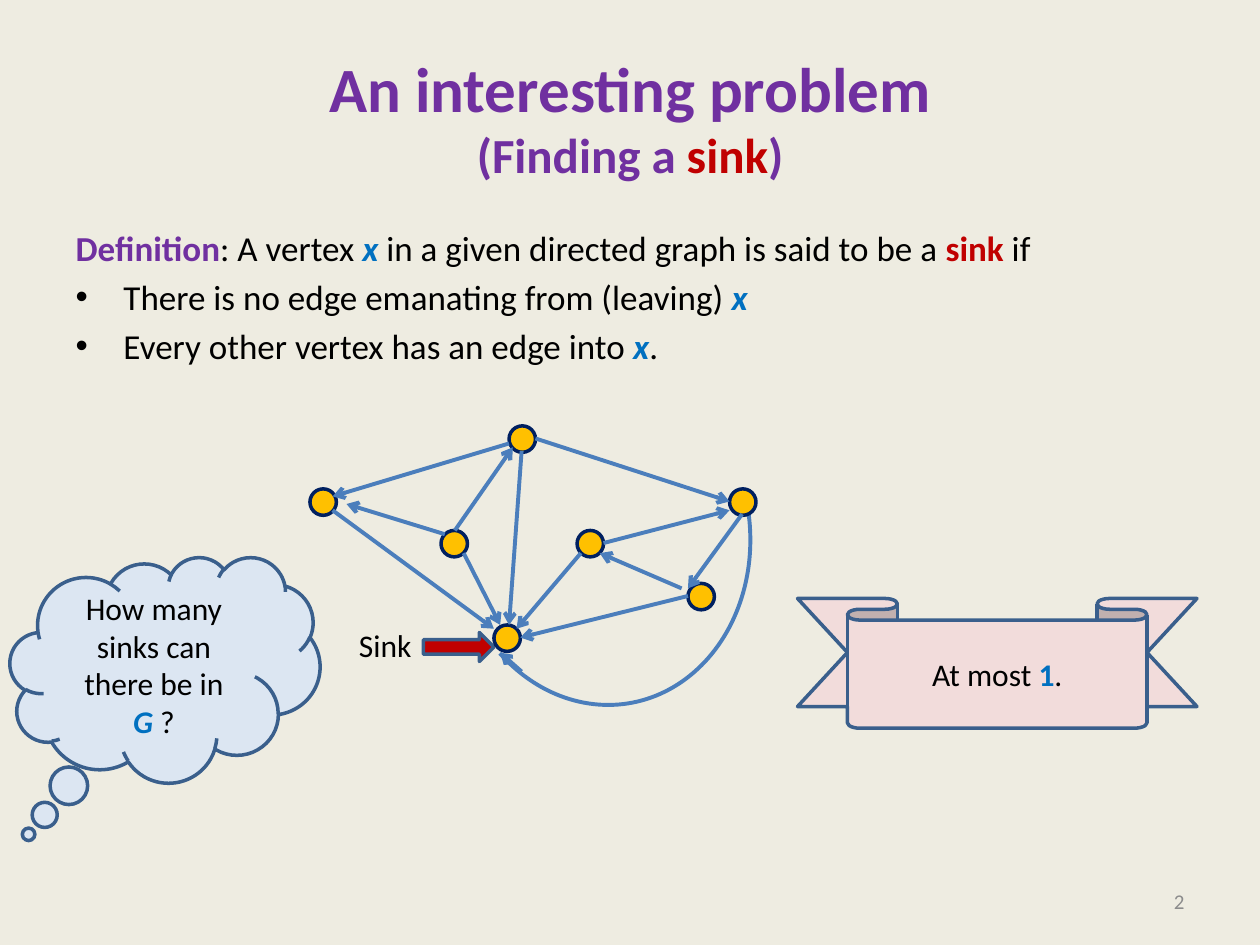
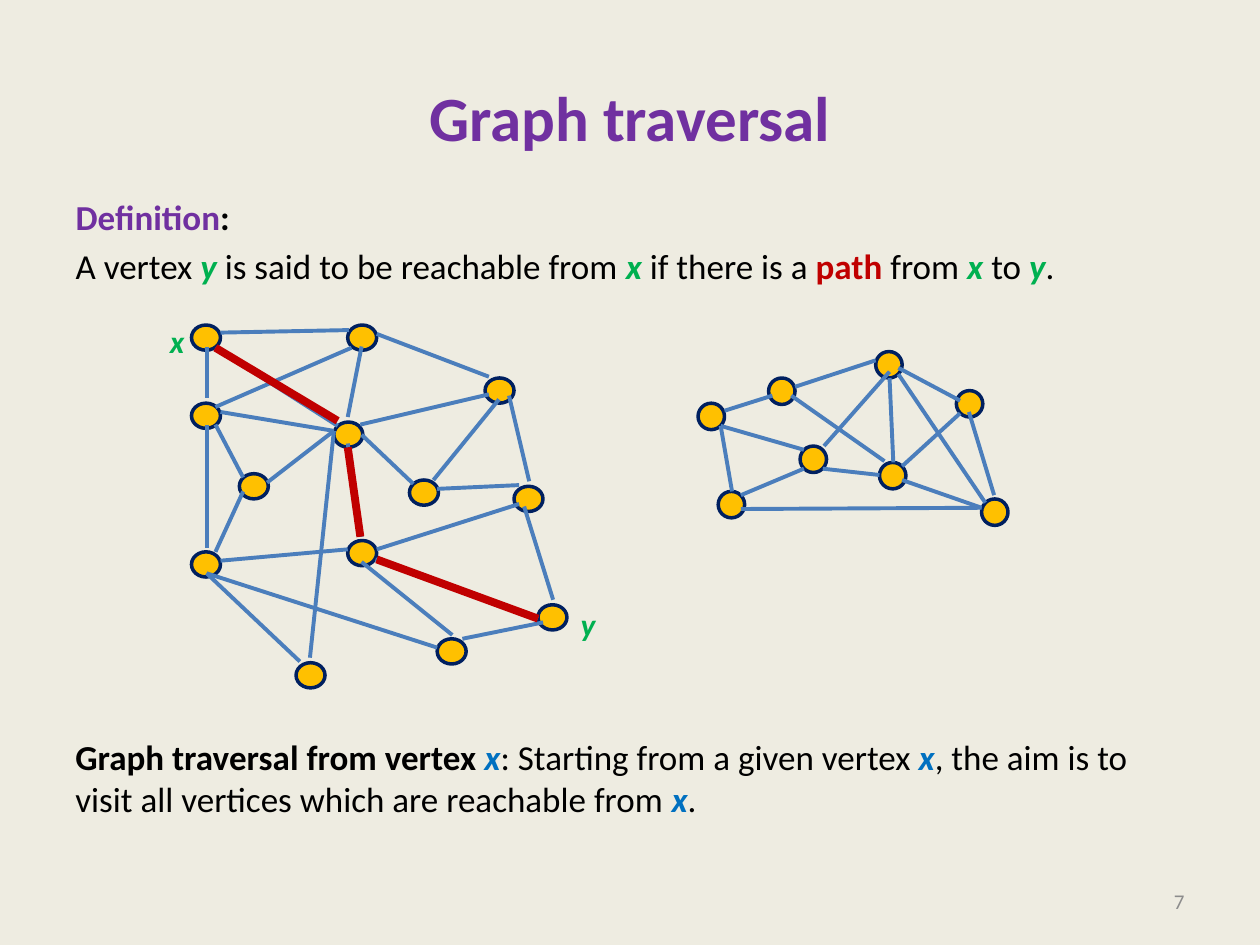
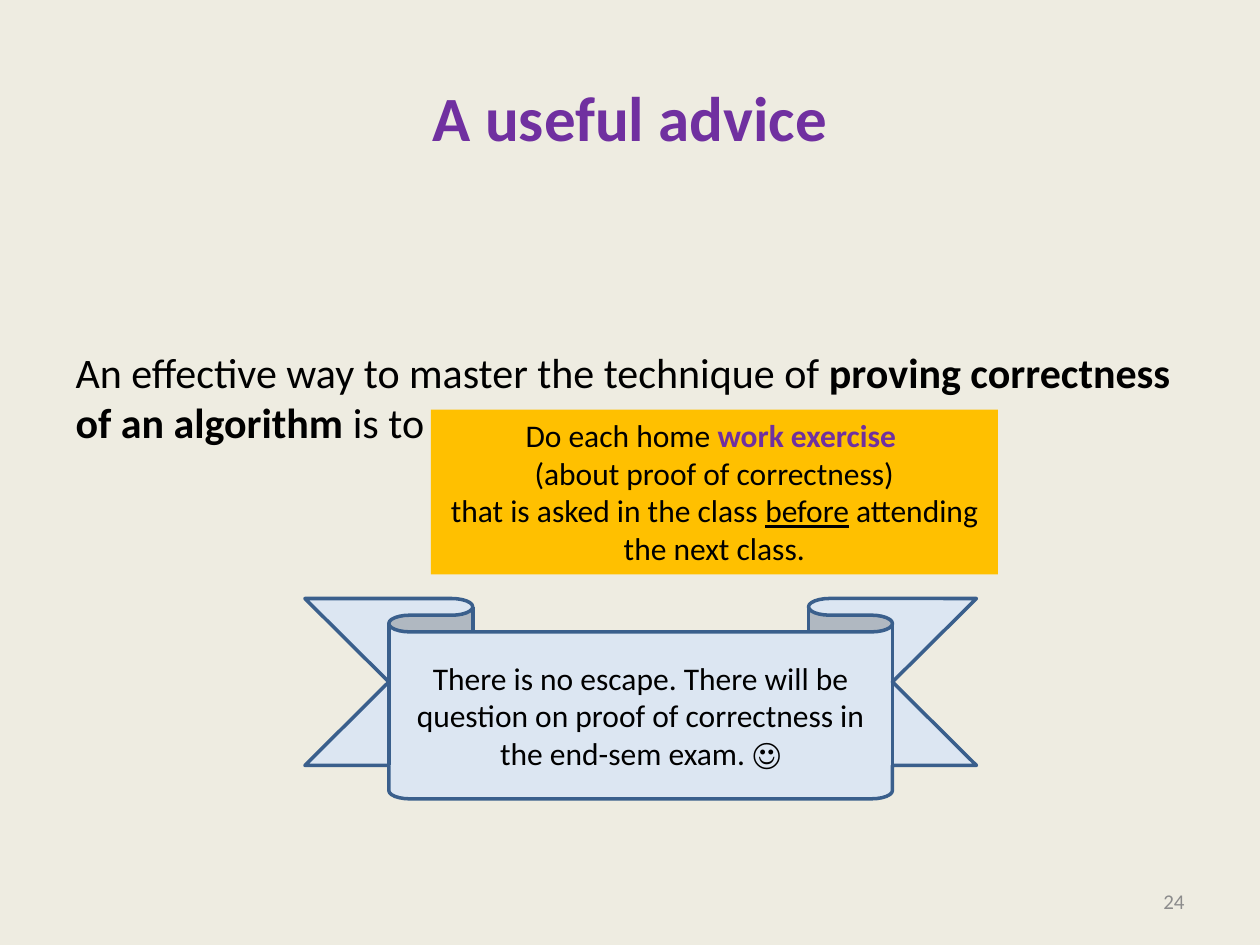
from lxml.etree import SubElement
from pptx import Presentation
from pptx.dml.color import RGBColor
from pptx.enum.shapes import MSO_CONNECTOR, MSO_SHAPE
from pptx.enum.text import MSO_ANCHOR, MSO_AUTO_SIZE, PP_ALIGN
from pptx.oxml.ns import qn
from pptx.util import Inches, Pt

FONT = "Calibri"
BACKGROUND = "EEECE1"
BLACK = "000000"
PURPLE = "7030A0"
RED = "C00000"
BLUE = "0070C0"
GREEN = "00B050"
GOLD = "FFC000"
NAVY = "002060"
EDGE = "4B7EBC"
OUTLINE = "3A5F8C"
PALE_BLUE = "DCE6F2"
PINK = "F2DCDB"
GRAY = "8C8C8C"

STRONG = dict(bold=True)
TERM = dict(color=PURPLE, bold=True)
KEY = dict(color=RED, bold=True)
BLUE_VERTEX = dict(color=BLUE, bold=True, italic=True)
GREEN_VERTEX = dict(color=GREEN, bold=True, italic=True)

SINK_VERTICES = [
    (4.04, 3.38), (2.46, 3.88), (5.79, 3.88), (3.5, 4.21),
    (4.58, 4.21), (5.46, 4.63), (3.92, 4.96),
]
SINK_EDGES = [
    (4.25, 3.48, 5.79, 3.98), (4.04, 3.52, 2.64, 3.94), (4.14, 3.58, 4.04, 4.96),
    (5.46, 4.73, 4.13, 5.06), (4.61, 4.39, 4.1, 4.99), (2.64, 4.05, 3.92, 4.99),
    (3.68, 4.39, 3.97, 4.96), (4.79, 4.31, 5.79, 4.05), (5.89, 4.08, 5.46, 4.67),
    (5.41, 4.67, 4.76, 4.39), (3.53, 4.24, 2.75, 4), (4.14, 5.33, 3.97, 5.18),
    (3.61, 4.21, 4.07, 3.55),
]
REACHABLE_VERTICES = [
    (1.52, 2.58), (1.52, 3.2), (1.9, 3.76), (1.52, 4.38), (2.65, 3.35),
    (2.76, 4.29), (2.35, 5.26), (4.27, 4.8), (3.25, 3.81), (3.47, 5.07),
    (2.76, 2.58), (4.08, 3.86), (3.85, 3),
]
REACHABLE_EDGES = [
    (1.75, 4.45, 2.76, 4.36), (1.75, 3.27, 2.65, 3.42), (1.75, 2.64, 2.77, 2.62),
    (1.64, 2.75, 1.64, 3.16), (2.86, 3.37, 3.88, 3.13), (2.38, 5.25, 1.64, 4.55),
    (1.64, 3.37, 1.64, 4.35), (2.76, 3.52, 2.87, 4.26), (2.99, 2.65, 3.88, 2.99),
    (4.2, 3.82, 4.04, 3.14), (2.99, 4.36, 4.12, 4), (3.67, 5.07, 4.31, 4.94),
    (1.71, 3.37, 1.93, 3.79), (4.16, 4.02, 4.39, 4.76), (2.65, 3.42, 2.46, 5.22),
    (2.87, 4.46, 3.59, 5.04), (3.47, 3.88, 4.12, 3.85), (2.65, 3.42, 2.12, 3.83),
    (1.71, 4.38, 1.93, 3.9), (3.44, 3.81, 3.96, 3.17), (1.64, 4.55, 3.47, 5.14),
    (2.87, 2.75, 2.76, 3.31), (4.27, 4.91, 2.98, 4.44), (1.71, 2.76, 2.68, 3.38),
    (2.79, 2.76, 1.71, 3.23), (2.87, 3.45, 3.28, 3.84),
]
SEPARATE_VERTICES = [
    (5.54, 3.2), (6.1, 3), (5.7, 3.9), (6.35, 3.54),
    (6.98, 3.67), (7.59, 3.1), (7.79, 3.96), (6.95, 2.79),
]
SEPARATE_EDGES = [
    (5.75, 3.26, 6.13, 3.14), (6.31, 3.07, 6.95, 2.86), (7.13, 2.92, 7.62, 3.18),
    (6.28, 3.14, 7.02, 3.66), (7.06, 2.95, 6.54, 3.54), (7.89, 3.93, 7.69, 3.27),
    (7.79, 4.03, 7.16, 3.81), (7.79, 4.03, 5.88, 4.04), (5.88, 3.93, 6.38, 3.72),
    (5.72, 3.38, 6.38, 3.57), (5.72, 3.38, 5.81, 3.9), (6.98, 3.77, 6.53, 3.72),
    (7.62, 3.28, 7.16, 3.7), (7.09, 3.67, 7.06, 3), (7.13, 2.97, 7.82, 3.99),
]
PATH_EDGES = [
    (1.71, 2.76, 2.68, 3.34), (2.86, 4.26, 2.76, 3.55), (4.27, 4.91, 2.99, 4.44),
]


def rgb(value):
    return RGBColor.from_string(value)


def write(paragraph, text, size=18, color=BLACK, bold=False, italic=False, underline=False):
    if text == "\n":
        line_break = SubElement(paragraph._p, qn("a:br"))
        SubElement(line_break, qn("a:rPr"), sz=str(size * 100))
        return
    run = paragraph.add_run()
    run.text = text
    font = run.font
    font.name, font.size, font.color.rgb = FONT, Pt(size), rgb(color)
    font.bold, font.italic, font.underline = bold, italic, underline


def fill_frame(frame, paragraphs, size=18, align=PP_ALIGN.LEFT, gap=0):
    for index, runs in enumerate(paragraphs):
        paragraph = frame.add_paragraph() if index else frame.paragraphs[0]
        paragraph.alignment = align
        paragraph.space_before = Pt(gap if index else 0)
        for text, style in runs:
            write(paragraph, text, **{"size": size, **style})


def place(element, left, top, width, height):
    element.left, element.top = Inches(left), Inches(top)
    element.width, element.height = Inches(width), Inches(height)


def add_label(slide, box, paragraphs, align=PP_ALIGN.LEFT, size=18, wrap=False,
              anchor=MSO_ANCHOR.TOP):
    label = slide.shapes.add_textbox(*map(Inches, box))
    label.text_frame.word_wrap = wrap
    label.text_frame.vertical_anchor = anchor
    fill_frame(label.text_frame, paragraphs, size, align)


def start_slide(deck, title_runs, number):
    slide = deck.slides.add_slide(deck.slide_layouts[1])
    title = slide.shapes.title
    place(title, 0.5, 0.3, 9, 1.25)
    title.text_frame.vertical_anchor = MSO_ANCHOR.MIDDLE
    fill_frame(title.text_frame, [title_runs], 36, PP_ALIGN.CENTER)
    add_label(slide, (7.17, 6.95, 2.33, 0.4), [[(number, dict(color=GRAY))]],
              PP_ALIGN.RIGHT, 12, True, MSO_ANCHOR.MIDDLE)
    return slide


def fill_body(slide, box, paragraphs, size=20, bulleted=()):
    body = slide.placeholders[1]
    place(body, *box)
    frame = body.text_frame
    frame.auto_size = MSO_AUTO_SIZE.NONE
    fill_frame(frame, paragraphs, size, gap=size / 5)
    for index, paragraph in enumerate(frame.paragraphs):
        has_bullet = index in bulleted
        indent = Inches(0.38) if has_bullet else 0
        properties = paragraph._p.get_or_add_pPr()
        properties.set("marL", str(indent))
        properties.set("indent", str(-indent))
        if has_bullet:
            SubElement(properties, qn("a:buChar"), char="•")
        else:
            SubElement(properties, qn("a:buNone"))


def add_figure(slide, preset, box, fill=None, line=None, line_width=2, paragraphs=(),
               anchor=MSO_ANCHOR.MIDDLE):
    figure = slide.shapes.add_shape(preset, *map(Inches, box))
    figure.shadow.inherit = False
    if fill:
        figure.fill.solid()
        figure.fill.fore_color.rgb = rgb(fill)
    else:
        figure.fill.background()
    if line:
        figure.line.color.rgb = rgb(line)
        figure.line.width = Pt(line_width)
    else:
        figure.line.fill.background()
    figure.text_frame.vertical_anchor = anchor
    figure.text_frame.word_wrap = True
    fill_frame(figure.text_frame, paragraphs, align=PP_ALIGN.CENTER)
    return figure


def add_ribbon(slide, box, fill, paragraphs):
    ribbon = add_figure(slide, MSO_SHAPE.DOWN_RIBBON, box, fill, OUTLINE, paragraphs=paragraphs)
    ribbon.adjustments[1] = 0.75


def add_edges(slide, edges, color=EDGE, width=2.25, directed=False):
    for ends in edges:
        edge = slide.shapes.add_connector(MSO_CONNECTOR.STRAIGHT, *map(Inches, ends))
        edge.line.color.rgb = rgb(color)
        edge.line.width = Pt(width)
        if directed:
            SubElement(edge.line._get_or_add_ln(), qn("a:tailEnd"), type="arrow")
        SubElement(edge._element.spPr, qn("a:effectLst"))


def add_graph(slide, vertices, edges, width=0.21, height=0.21, directed=False):
    for left, top in vertices:
        add_figure(slide, MSO_SHAPE.OVAL, (left, top, width, height), GOLD, NAVY)
    add_edges(slide, edges, directed=directed)


def build_sink_slide(deck):
    heading = [
        ("An interesting problem", TERM), ("\n", {}),
        ("(Finding a ", dict(TERM, size=28)), ("sink", dict(KEY, size=28)),
        (")", dict(TERM, size=28)),
    ]
    slide = start_slide(deck, heading, "2")
    fill_body(slide, (0.5, 1.75, 9.42, 4.95), [
        [("Definition", TERM), (": A vertex ", {}), ("x ", BLUE_VERTEX),
         ("in a given directed graph is said to be a ", {}), ("sink", KEY), (" if", {})],
        [("There is no edge emanating from (leaving) ", {}), ("x", BLUE_VERTEX)],
        [("Every other vertex has an edge into ", {}), ("x", BLUE_VERTEX), (".", {})],
    ], bulleted=(1, 2))
    add_figure(slide, MSO_SHAPE.RIGHT_ARROW, (3.36, 5.02, 0.56, 0.23), RED, OUTLINE)
    add_label(slide, (2.75, 4.92, 0.62, 0.4), [[("Sink", {})]])
    curved_edge = add_figure(slide, MSO_SHAPE.ARC, (3.39, 3.04, 2.76, 2.36),
                             line=EDGE, line_width=2.25)
    curved_edge.rotation = 81.1
    curved_edge.adjustments[0] = 162
    curved_edge.adjustments[1] = 29.18
    add_graph(slide, SINK_VERTICES, SINK_EDGES, directed=True)
    add_ribbon(slide, (6.33, 4.75, 3.17, 1.03), PINK,
               [[("At most ", {}), ("1", dict(color=BLUE, bold=True)), (".", {})]])
    question = add_figure(
        slide, MSO_SHAPE.CLOUD_CALLOUT, (0.08, 4.42, 2.46, 1.79), PALE_BLUE, OUTLINE,
        paragraphs=[[("How many sinks can there be in ", {}), ("G", BLUE_VERTEX), (" ?", {})]])
    question.adjustments[0] = -0.44
    question.adjustments[1] = 0.73


def build_traversal_slide(deck):
    slide = start_slide(deck, [("Graph traversal", TERM)], "7")
    fill_body(slide, (0.5, 1.5, 9, 1), [
        [("Definition", TERM), (":", STRONG)],
        [("A vertex ", {}), ("y", GREEN_VERTEX), (" is said to be reachable from ", {}),
         ("x ", GREEN_VERTEX), ("if there is a ", {}), ("path", KEY), (" from ", {}),
         ("x ", GREEN_VERTEX), ("to ", {}), ("y", GREEN_VERTEX), (".", {})],
    ])
    add_label(slide, (0.5, 5.79, 8.9, 0.8), [
        [("Graph traversal from vertex ", STRONG), ("x", BLUE_VERTEX),
         (": Starting from a given vertex ", {}), ("x", BLUE_VERTEX),
         (", the aim is to visit all vertices which are reachable from ", {}),
         ("x", BLUE_VERTEX), (".", {})],
    ], size=20, wrap=True)
    add_graph(slide, REACHABLE_VERTICES, REACHABLE_EDGES, 0.23, 0.2)
    add_graph(slide, SEPARATE_VERTICES, SEPARATE_EDGES)
    for name, left, top in (("x", 1.25, 2.51), ("y", 4.51, 4.75)):
        add_label(slide, (left, top, 0.32, 0.4), [[(name, GREEN_VERTEX)]])
    add_edges(slide, PATH_EDGES, RED, 4.5)


def build_advice_slide(deck):
    slide = start_slide(deck, [("A useful advice", TERM)], "24")
    fill_body(slide, (0.5, 2.7, 9, 4), [
        [("An effective way to master the technique of ", {}),
         ("proving correctness of an algorithm ", STRONG), ("is to …", {})],
    ], size=24)
    add_figure(slide, MSO_SHAPE.RECTANGLE, (3.42, 3.25, 4.5, 1.31), GOLD, paragraphs=[
        [("Do each home ", {}), ("work exercise ", TERM)],
        [("(about proof of correctness)", {})],
        [("that is asked in the class ", {}), ("before", dict(underline=True)),
         (" attending the next class.", {})],
    ], anchor=MSO_ANCHOR.TOP)
    add_ribbon(slide, (2.42, 4.75, 5.33, 1.59), PALE_BLUE, [
        [("There is no escape. There will be question on proof of correctness "
          "in the end-sem exam. ☺", {})],
    ])


def main():
    deck = Presentation()
    deck.slide_width, deck.slide_height = Inches(10), Inches(7.5)
    backdrop = deck.slide_master.background.fill
    backdrop.solid()
    backdrop.fore_color.rgb = rgb(BACKGROUND)
    build_sink_slide(deck)
    build_traversal_slide(deck)
    build_advice_slide(deck)
    deck.save("out.pptx")


if __name__ == "__main__":
    main()
